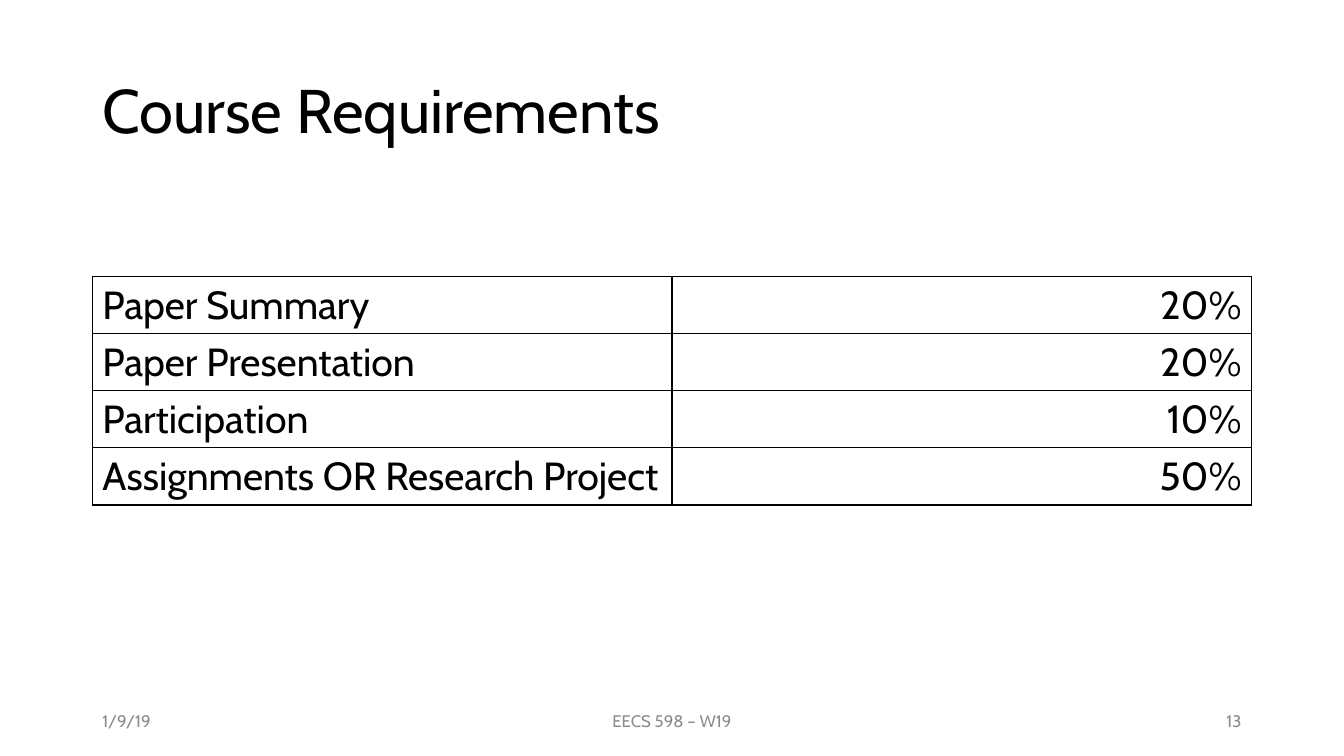
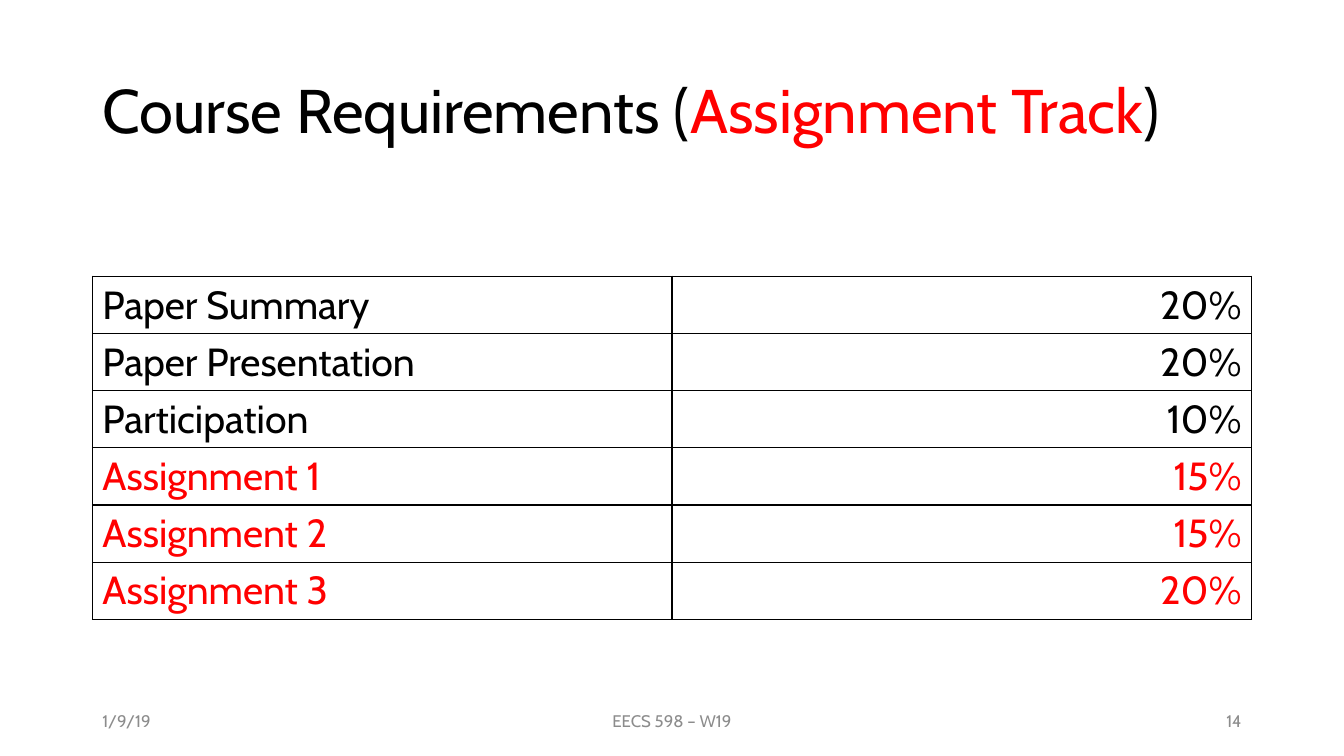
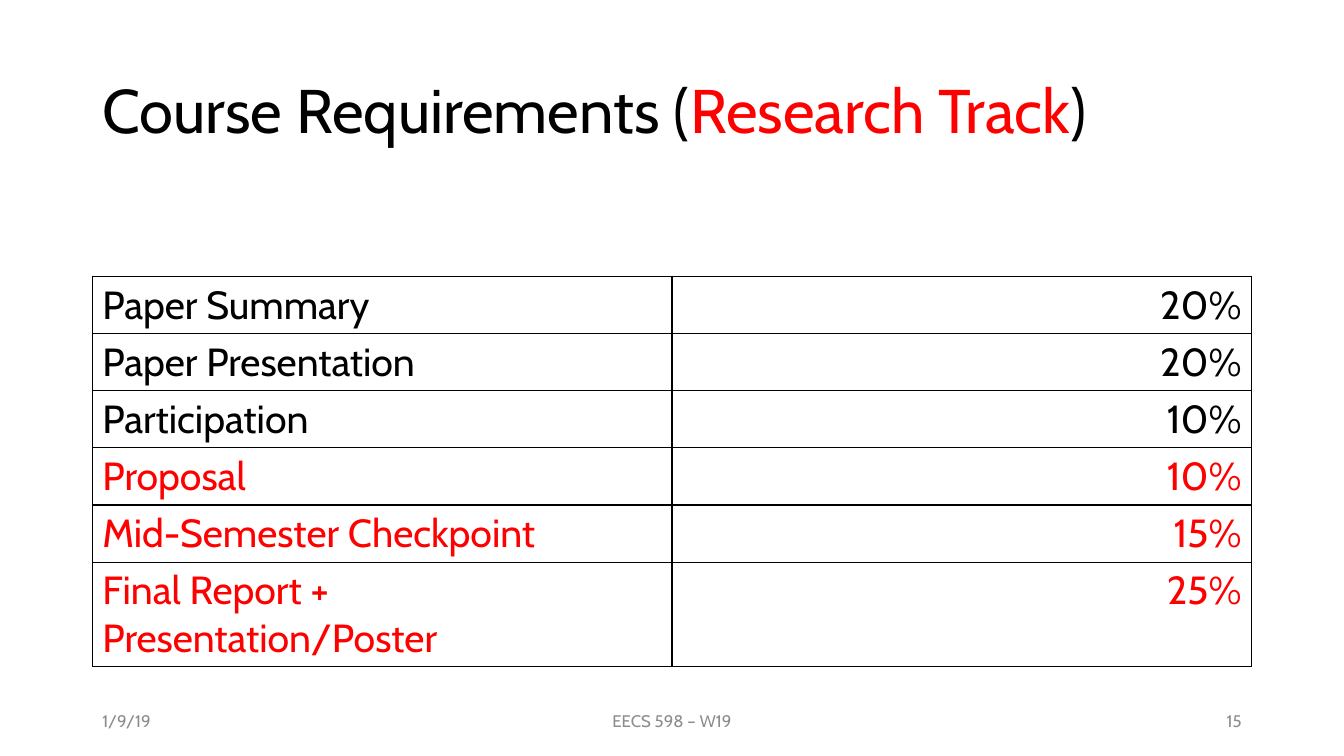
from dataclasses import dataclass

from lxml import etree
from pptx import Presentation
from pptx import util as u
from pptx.dml.color import RGBColor
from pptx.enum import text
from pptx.oxml import ns


@dataclass(frozen=True)
class Theme:
    font: str = "Cabin"
    ink: str = "000000"
    accent: str = "FF0000"
    muted: str = "8C8C8C"
    paper: str = "FFFFFF"
    title_size: int = 44
    table_size: int = 28
    footer_size: int = 12
    border_width: int = 1


THEME = Theme()

# Slide grid: 160 columns by 150 rows
WIDTH, HEIGHT = u.Inches(40 / 3), u.Inches(7.5)
COLUMN, ROW = WIDTH / 160, HEIGHT / 150
LEFT, CONTENT = 11, 138
TITLE_BOX = (LEFT, 8, CONTENT, 29)
TABLE_BOX = (LEFT, 54.8, CONTENT)
FOOTER_BOX = (LEFT, 139, CONTENT, 8)
TABLE_ROW = 11
FOOTER_GAP = 6

ALIGN = text.PP_ALIGN

COURSE, DATE, FIRST_NUMBER = "EECS 598 – W19", "1/9/19", 13
SHARED_ROWS = [("Paper Summary", "20%"), ("Paper Presentation", "20%"), ("Participation", "10%")]

# Each slide: track name, plain rows, highlighted rows
SLIDES = [
    (None, [("Assignments OR Research Project", "50%")], []),
    ("Assignment Track", [],
     [("Assignment 1", "15%"), ("Assignment 2", "15%"), ("Assignment 3", "20%")]),
    ("Research Track", [],
     [("Proposal", "10%"), ("Mid-Semester Checkpoint", "15%"),
      ("Final Report + Presentation/Poster", "25%")]),
]


def place(left, top, width, height):
    return round(left * COLUMN), round(top * ROW), round(width * COLUMN), round(height * ROW)


def write(frame, runs, size, align=ALIGN.LEFT):
    """Fill the first paragraph with (wording, colour) runs."""
    paragraph = frame.paragraphs[0]
    paragraph.alignment = align
    for wording, colour in runs:
        run = paragraph.add_run()
        run.text = wording
        run.font.name = THEME.font
        run.font.size = u.Pt(size)
        run.font.color.rgb = RGBColor.from_string(colour)
    return paragraph


def add_text(slide, box, runs, size, align=ALIGN.LEFT):
    frame = slide.shapes.add_textbox(*place(*box)).text_frame
    frame.word_wrap = True
    frame.vertical_anchor = text.MSO_ANCHOR.MIDDLE
    return write(frame, runs, size, align)


def add_title(slide, box, track):
    runs = [("Course Requirements", THEME.ink)]
    if track:
        runs = [("Course Requirements (", THEME.ink), (track, THEME.accent), (")", THEME.ink)]
    add_text(slide, box, runs, THEME.title_size).line_spacing = 0.9


def add_borders(cell):
    properties = cell._tc.get_or_add_tcPr()
    for position, side in enumerate(("lnL", "lnR", "lnT", "lnB")):
        line = etree.Element(ns.qn(f"a:{side}"), w=str(u.Pt(THEME.border_width)))
        fill = etree.SubElement(line, ns.qn("a:solidFill"))
        etree.SubElement(fill, ns.qn("a:srgbClr"), val=THEME.ink)
        properties.insert(position, line)


def add_weights(slide, box, plain, highlighted):
    """Table of course parts and their share of the grade."""
    entries = [(entry, THEME.ink) for entry in plain]
    entries += [(entry, THEME.accent) for entry in highlighted]
    frame = place(*box, TABLE_ROW * len(entries))
    table = slide.shapes.add_table(len(entries), 2, *frame).table
    table.first_row = table.horz_banding = False
    for row, (entry, colour) in enumerate(entries):
        for column, (wording, align) in enumerate(zip(entry, (ALIGN.LEFT, ALIGN.RIGHT))):
            cell = table.cell(row, column)
            cell.fill.background()
            add_borders(cell)
            write(cell.text_frame, [(wording, colour)], THEME.table_size, align)


def add_footer(slide, box, number):
    left, top, width, height = box
    side = (width - 2 * FOOTER_GAP) * 2 / 7
    parts = [(DATE, side, ALIGN.LEFT), (COURSE, side * 1.5, ALIGN.CENTER),
             (str(number), side, ALIGN.RIGHT)]
    for wording, part_width, align in parts:
        add_text(slide, (left, top, part_width, height), [(wording, THEME.muted)],
                 THEME.footer_size, align)
        left += part_width + FOOTER_GAP


def add_requirements_slide(presentation, number, track, plain, highlighted):
    slide = presentation.slides.add_slide(presentation.slide_layouts[6])
    slide.background.fill.solid()
    slide.background.fill.fore_color.rgb = RGBColor.from_string(THEME.paper)
    add_title(slide, TITLE_BOX, track)
    add_weights(slide, TABLE_BOX, SHARED_ROWS + plain, highlighted)
    add_footer(slide, FOOTER_BOX, number)


def main():
    presentation = Presentation()
    presentation.slide_width, presentation.slide_height = WIDTH, HEIGHT
    for number, content in enumerate(SLIDES, FIRST_NUMBER):
        add_requirements_slide(presentation, number, *content)
    presentation.save("out.pptx")


if __name__ == "__main__":
    main()
